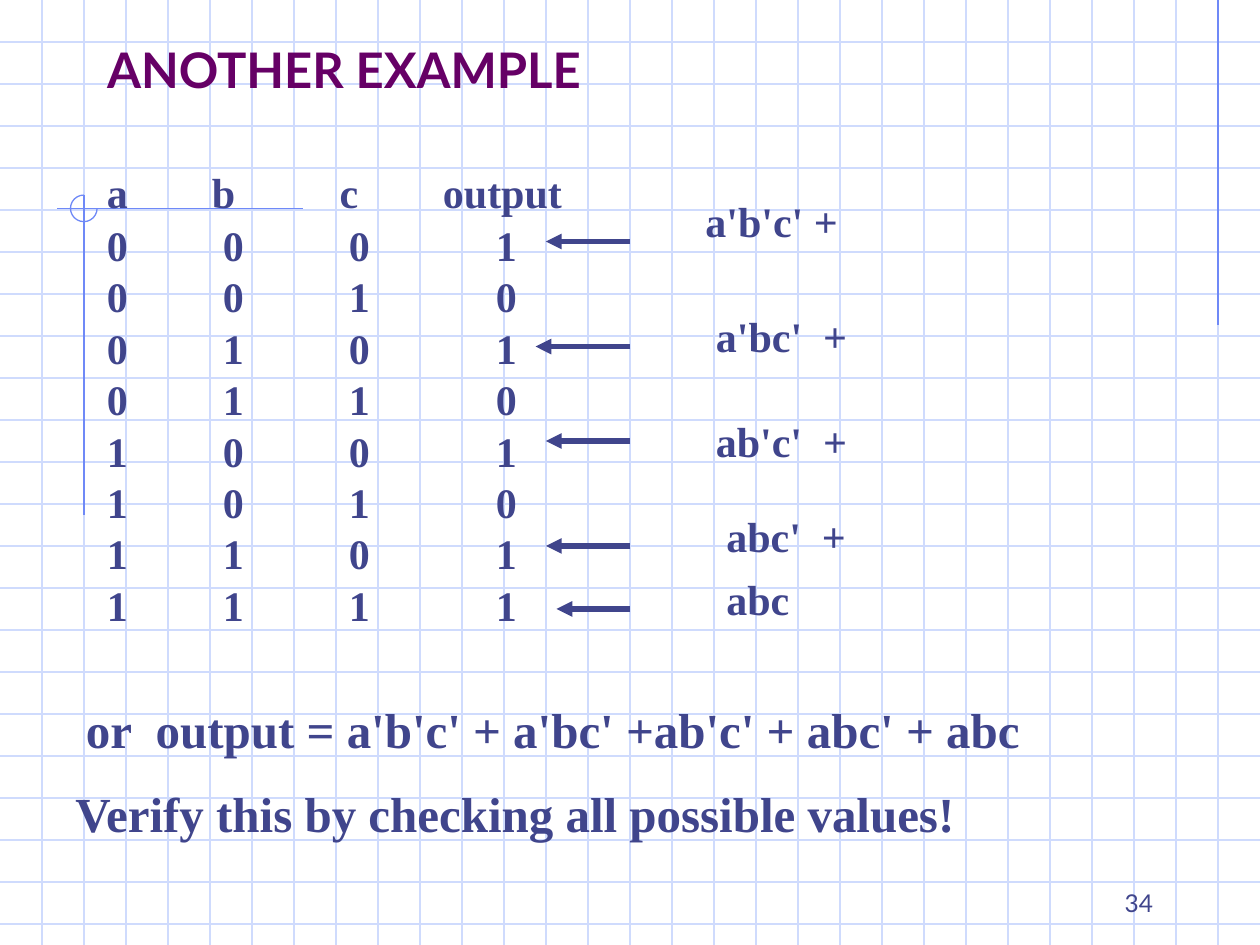
import pptx
import pptx.util
import pptx.dml.color
import pptx.enum.shapes
import pptx.enum.text
import pptx.oxml
import pptx.oxml.ns
from lxml import etree

Pt = pptx.util.Pt
WIDTH, HEIGHT, STEP = 720, 540, 24
GRID, ACCENT, INK, PURPLE = "CFDBFD", "6F89F7", "40458C", "660066"
SERIF, SANS = "Times New Roman", "Lato"

# Content
TITLE = "ANOTHER EXAMPLE"
HEADER = ("a", "b", "c", "output")
ROWS = ["0001", "0010", "0101", "0110", "1001", "1010", "1101", "1111"]
HEADER_TABS = (60, 133, 192)
ROW_TABS = (66.3, 138.3, 222.3)
# text, left, top, width, height, size
TEXTS = [
    ("a'b'c' +", 396, 108, 120, 36, 24),
    ("a'bc'  +", 402, 174, 120, 36, 24),
    ("ab'c'  +", 402, 234, 138, 36, 24),
    ("abc'  +", 408, 288, 114, 36, 24),
    ("abc", 408, 324, 138, 36, 24),
    ("or  output = a'b'c' + a'bc' +ab'c' + abc' + abc", 42, 396, 588, 41, 28),
    ("Verify this by checking all possible values!", 36, 444, 570, 41, 28),
]
ARROW_START = 360
ARROWS = [(312, 138), (306, 198), (312, 252), (312, 312), (318, 348)]  # tip x, y
ACCENT_LINES = [(696, 0, 696, 186), (173, 119.3, 32.5, 119.3), (48, 111.5, 48, 294.5)]
PAGE = "34"


def color(value):
    return pptx.dml.color.RGBColor.from_string(value)


def add_line(s, x1, y1, x2, y2, rgb, weight=0.75, arrow=False):
    line = s.shapes.add_connector(
        pptx.enum.shapes.MSO_CONNECTOR.STRAIGHT, Pt(x1), Pt(y1), Pt(x2), Pt(y2))
    line.line.color.rgb = color(rgb)
    line.line.width = Pt(weight)
    if arrow:
        ln = line.line._get_or_add_ln()
        etree.SubElement(ln, pptx.oxml.ns.qn("a:tailEnd"), type="triangle")
    etree.SubElement(line.element.spPr, pptx.oxml.ns.qn("a:effectLst"))


def add_run(p, text, size, rgb=INK, font=SERIF, bold=True):
    r = p.add_run()
    r.text = text
    r.font.size, r.font.name, r.font.bold = Pt(size), font, bold
    r.font.color.rgb = color(rgb)


def add_box(s, left, top, width, height):
    tf = s.shapes.add_textbox(Pt(left), Pt(top), Pt(width), Pt(height)).text_frame
    tf.word_wrap = True
    return tf


def set_tabs(p, stops):
    tabs = etree.SubElement(p._p.get_or_add_pPr(), pptx.oxml.ns.qn("a:tabLst"))
    for stop in stops:
        etree.SubElement(tabs, pptx.oxml.ns.qn("a:tab"), pos=str(int(Pt(stop))), algn="l")


def main():
    prs = pptx.Presentation()
    prs.slide_width, prs.slide_height = Pt(WIDTH), Pt(HEIGHT)
    s = prs.slides.add_slide(prs.slide_layouts[5])

    # Squared paper
    for y in range(STEP, HEIGHT, STEP):
        add_line(s, 0, y, WIDTH, y, GRID)
    for x in range(STEP, WIDTH, STEP):
        add_line(s, x, 0, x, HEIGHT, GRID)

    # Accent lines and three-quarter ring
    for ends in ACCENT_LINES:
        add_line(s, *ends, ACCENT)
    ring = s.shapes.add_shape(
        pptx.enum.shapes.MSO_SHAPE.ARC, Pt(40.3), Pt(111.5), Pt(15.2), Pt(15.2))
    ring.adjustments[0], ring.adjustments[1] = 0, 162  # 0 to 270 degrees
    ring.shadow.inherit = False
    ring.fill.background()
    ring.line.color.rgb = color(ACCENT)
    ring.line.width = Pt(0.75)

    # Title, brought in front of the grid
    title = s.shapes.title
    title.left, title.top, title.width, title.height = Pt(54), Pt(18), Pt(612), Pt(42)
    title.element.getparent().append(title.element)
    tf = title.text_frame
    tf.vertical_anchor = pptx.enum.text.MSO_ANCHOR.BOTTOM
    tf.paragraphs[0].alignment = pptx.enum.text.PP_ALIGN.LEFT
    add_run(tf.paragraphs[0], TITLE, 28, PURPLE, SANS)

    # Truth table set on tab stops
    tf = add_box(s, 54, 102, 276, 304)
    for i, cells in enumerate([HEADER, *ROWS]):
        p = tf.add_paragraph() if i else tf.paragraphs[0]
        set_tabs(p, ROW_TABS if i else HEADER_TABS)
        p.line_spacing = 0.5 if i else 0.6
        p.space_before = Pt(15 if i else 0)
        add_run(p, "\t".join(cells), 24)

    # Arrows to the rows with output 1
    for tip, y in ARROWS:
        add_line(s, ARROW_START, y, tip, y, INK, 3, arrow=True)

    # Product terms and conclusions
    for text, left, top, width, height, size in TEXTS:
        add_run(add_box(s, left, top, width, height).paragraphs[0], text, size)

    # Page number
    tf = add_box(s, 516, 492, 150, 36)
    tf.vertical_anchor = pptx.enum.text.MSO_ANCHOR.BOTTOM
    tf.paragraphs[0].alignment = pptx.enum.text.PP_ALIGN.RIGHT
    add_run(tf.paragraphs[0], PAGE, 14, font=SANS, bold=False)

    prs.save("out.pptx")


if __name__ == "__main__":
    main()
